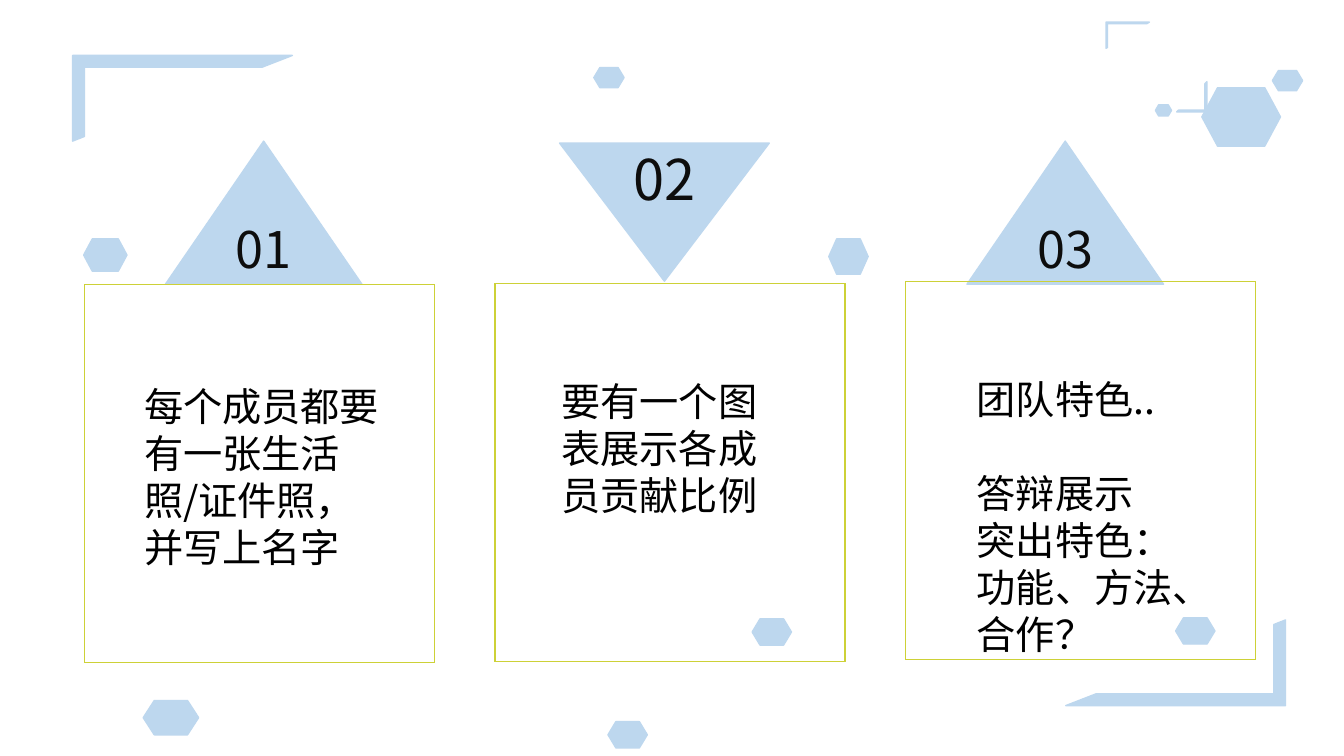
from lxml.etree import SubElement
from pptx import Presentation
from pptx.dml.color import RGBColor
from pptx.enum.lang import MSO_LANGUAGE_ID as Language
from pptx.enum.shapes import MSO_SHAPE as Shape
from pptx.enum.text import MSO_ANCHOR as Anchor, MSO_AUTO_SIZE as AutoSize, PP_ALIGN as Align
from pptx.oxml.ns import qn
from pptx.util import Emu, Pt

FONT = "Noto Sans CJK SC"
BLUE, LIME, INK, BLACK = "BDD7EE", "CDD137", "0D0D0D", "000000"
BODY_SIZE = 28
LINE_HEIGHT = 1.2 * BODY_SIZE


def px(length):
    """One px is a hundredth of an inch."""
    return Emu(length * 9144)


def color(hex_code):
    return RGBColor.from_string(hex_code)


def add_run(paragraph, text, size, hex_code):
    run = paragraph.add_run()
    run.text = text
    font = run.font
    font.size = Pt(size)
    font.color.rgb = color(hex_code)
    font.name = FONT
    font.language_id = Language.SIMPLIFIED_CHINESE
    SubElement(run._r.get_or_add_rPr(), qn("a:ea"), typeface=FONT)


def add_figure(shapes, kind, box, hex_code=BLUE, adjustments=(), rotation=0):
    shape = shapes.add_shape(kind, *map(px, box))
    shape.shadow.inherit = False
    shape.fill.solid()
    shape.fill.fore_color.rgb = color(hex_code)
    shape.line.color.rgb = color(hex_code)
    shape.line.width = Pt(1)
    shape.rotation = rotation
    for index, value in enumerate(adjustments):
        shape.adjustments[index] = value
    return shape


def add_hexagons(shapes, boxes):
    for box in boxes:
        add_figure(shapes, Shape.FLOWCHART_PREPARATION, box)


def add_corners(slide, left, top, width, height):
    """Brackets at the top left and bottom right of the box."""
    arm_width, arm_height = 218, 85
    far_left, far_top = left + width - arm_width, top + height - arm_height
    for x, y, rotation in ((left, top, 0), (far_left, far_top, 180)):
        add_figure(slide.shapes, Shape.HALF_FRAME, (x, y, arm_width, arm_height),
                   adjustments=(0.137, 0.137), rotation=rotation)


def add_cluster(slide, left, top):
    """Small brackets and hexagons in the top right."""
    shapes = slide.shapes.add_group_shape().shapes
    add_hexagons(shapes, [(left + 165, top + 48, 30, 20), (left + 49, top + 82, 16, 11)])
    add_figure(shapes, Shape.HALF_FRAME, (left, top, 43, 26), adjustments=(0.057, 0.057))
    add_figure(shapes, Shape.HALF_FRAME, (left + 70, top + 59, 30, 30),
               adjustments=(0.057, 0.067), rotation=180)


def add_card(slide, left, top, number, size, kind, badge, body, lines):
    """Framed card; badge and body are boxes relative to its corner."""
    def place(box):
        x, y, width, height = box
        return left + x, top + y, width, height

    triangle = add_figure(slide.shapes, kind, place(badge))
    triangle.text_frame.vertical_anchor = Anchor.MIDDLE
    heading = triangle.text_frame.paragraphs[0]
    heading.alignment = Align.CENTER
    add_run(heading, number, size, INK)

    add_figure(slide.shapes, Shape.FRAME, (left, top, 347, 375), LIME, (0,))

    frame = slide.shapes.add_textbox(*map(px, place(body))).text_frame
    frame.word_wrap = True
    frame.auto_size = AutoSize.SHAPE_TO_FIT_TEXT
    for index, line in enumerate(lines):
        paragraph = frame.add_paragraph() if index else frame.paragraphs[0]
        if index == 1:
            paragraph.space_before = Pt(LINE_HEIGHT)
        add_run(paragraph, line, BODY_SIZE, BLACK)


CARDS = [
    (84, 282, "01", 36, Shape.ISOSCELES_TRIANGLE, (80, -142, 195, 142),
     (49, 92, 255, 198), ["每个成员都要有一张生活照/证件照，并写上名字"]),
    (491, 281, "02", 40, Shape.FLOWCHART_MERGE, (64, -139, 208, 137),
     (56, 88, 242, 151), ["要有一个图表展示各成员贡献比例"]),
    (898, 279, "03", 36, Shape.ISOSCELES_TRIANGLE, (61, -139, 195, 142),
     (61, 88, 267, 293), ["团队特色..", "答辩展示", "突出特色：", "功能、方法、合作？"]),
]
HEXAGONS = [
    (1192, 87, 78, 58), (822, 237, 39, 35), (746, 614, 39, 26), (83, 237, 43, 32),
    (142, 695, 55, 34), (589, 67, 30, 20), (603, 716, 39, 26), (1166, 613, 39, 26),
]


def main():
    presentation = Presentation()
    presentation.slide_width, presentation.slide_height = px(1333), px(750)
    slide = presentation.slides.add_slide(presentation.slide_layouts[6])
    add_corners(slide, 72, 55, 1203, 645)
    for card in CARDS:
        add_card(slide, *card)
    add_cluster(slide, 1097, 22)
    add_hexagons(slide.shapes, HEXAGONS)
    presentation.save("out.pptx")


if __name__ == "__main__":
    main()
